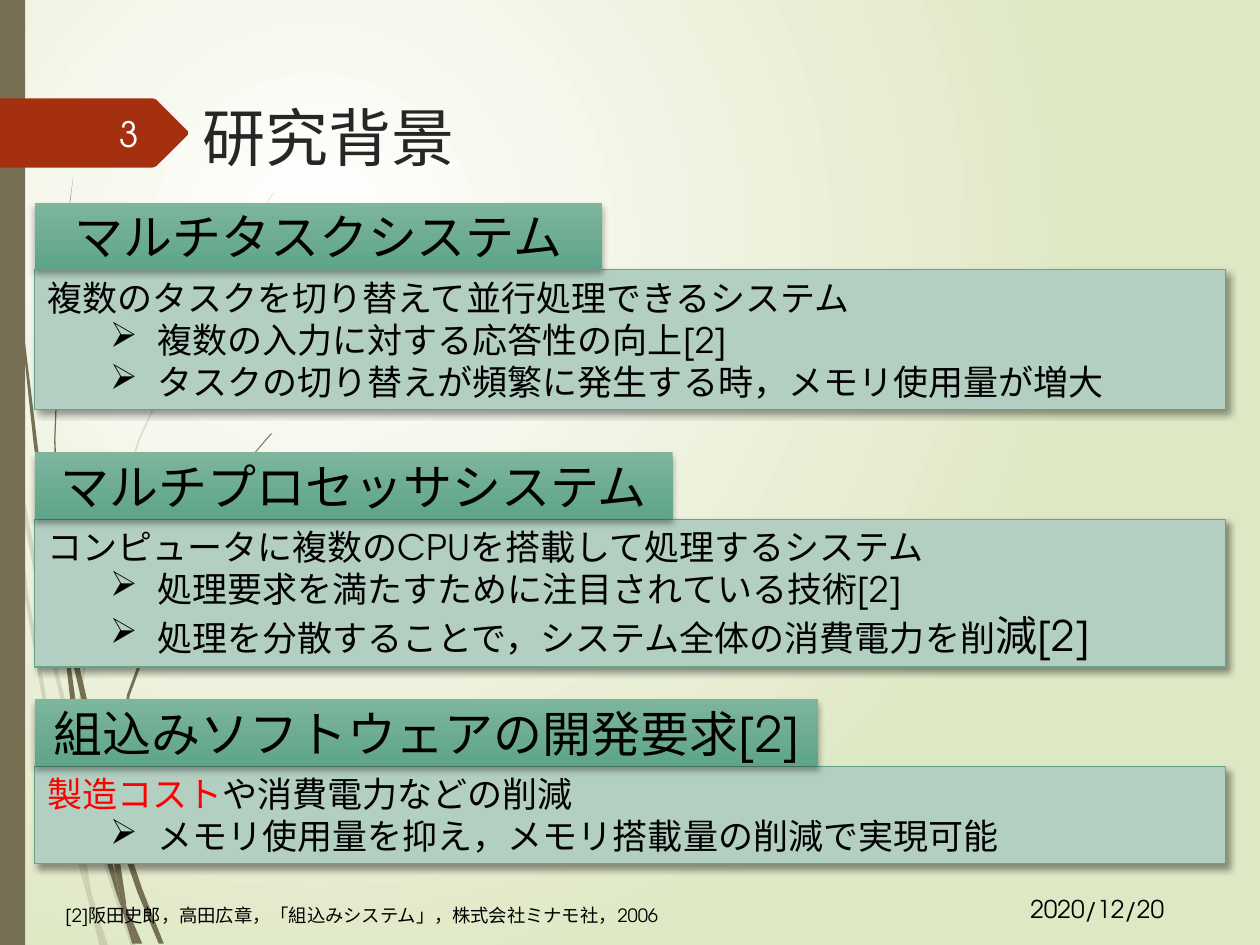
from lxml import etree
from pptx import Presentation
from pptx.dml.color import RGBColor
from pptx.enum.shapes import MSO_SHAPE
from pptx.enum.text import MSO_ANCHOR, PP_ALIGN
from pptx.oxml.ns import qn
from pptx.util import Cm, Pt

FONT = "TeX Gyre Adventor"
COLORS = {
    "black": "000000", "title": "262626", "number": "FEFFFF", "red": "FF0000",
    "olive": "766F54", "tag": "A53010", "panel": "B3CFC2", "edge": "65A48B",
    "head_top": "7DB59D", "head_bottom": "5EA588",
    "glow": "FFFFFF", "field": "DFE8C4",
}
RGB = {name: RGBColor.from_string(value) for name, value in COLORS.items()}
COMMA = "\uff0c"  # full-width comma
SLIDE_WIDTH, SLIDE_HEIGHT = 25.4, 19.05


def write(frame, lines, size=20, color="black", align=PP_ALIGN.LEFT,
          anchor=MSO_ANCHOR.TOP):
    """A line is a list of runs; a run may set its own size and color.

    The first line is plain, the lines below it are indented arrow points.
    """
    frame.word_wrap = True
    frame.vertical_anchor = anchor
    for index, runs in enumerate(lines):
        paragraph = frame.paragraphs[0] if index == 0 else frame.add_paragraph()
        paragraph.alignment = align
        if index > 0:
            paragraph.level = 1
            props = paragraph._p.get_or_add_pPr()
            props.set("marL", str(Cm(2.22)))
            props.set("indent", str(-Cm(0.95)))
            etree.SubElement(props, qn("a:buFont"), typeface="Wingdings",
                             pitchFamily="2", charset="2")
            etree.SubElement(props, qn("a:buChar"), char="\u00d8")  # Wingdings arrow
        for part in runs:
            run = paragraph.add_run()
            run.text = part["text"]
            run.font.name = FONT
            run.font.size = Pt(part.get("size", size))
            run.font.color.rgb = RGB[part.get("color", color)]


def paint(shape, fill, edge=None, opacity=100, shadow=None):
    """Fill with one color name, or with a (top, bottom) pair as a gradient."""
    if isinstance(fill, tuple):
        shape.fill.gradient()
        shape.fill.gradient_angle = 270
        for stop, name in zip(shape.fill.gradient_stops, fill):
            stop.color.rgb = RGB[name]
    else:
        shape.fill.solid()
        shape.fill.fore_color.rgb = RGB[fill]
    if opacity < 100:
        tone = shape._element.spPr.find(".//" + qn("a:srgbClr"))
        etree.SubElement(tone, qn("a:alpha"), val=str(opacity * 1000))
    if edge:
        shape.line.color.rgb = RGB[edge]
        shape.line.width = Pt(0.75)
    else:
        shape.line.fill.background()
    shape.shadow.inherit = False
    if shadow:
        effects = shape._element.spPr.find(qn("a:effectLst"))
        outer = etree.SubElement(
            effects, qn("a:outerShdw"), blurRad=str(Pt(shadow["blur"])),
            dist=str(Pt(shadow["distance"])), dir=str(shadow["angle"] * 60000),
            algn="tl", rotWithShape="0")
        tone = etree.SubElement(outer, qn("a:srgbClr"), val=COLORS["black"])
        etree.SubElement(tone, qn("a:alpha"), val=str(shadow["opacity"] * 1000))


prs = Presentation()
prs.slide_width, prs.slide_height = Cm(SLIDE_WIDTH), Cm(SLIDE_HEIGHT)
slide = prs.slides.add_slide(prs.slide_layouts[6])
shapes = slide.shapes

# Background: a round glow from the upper left
backdrop = slide.background.fill
backdrop.gradient()
for stop, name in zip(backdrop.gradient_stops, ("glow", "field")):
    stop.color.rgb = RGB[name]
gradient = slide._element.find(".//" + qn("a:gradFill"))
radial = etree.Element(qn("a:path"))
radial.set("path", "circle")
etree.SubElement(radial, qn("a:fillToRect"), l="50000", t="50000", r="100000", b="100000")
gradient.replace(gradient.find(qn("a:lin")), radial)

# Outlines as "x,y" corners in hundredths of an inch
OUTLINE_UNIT = Cm(0.0254)
PALE_BLADES = [
    "8,350 6,322 0,282 0,299 7,344",
    "40,522 59,599 59,586 43,520 10,345 12,376",
    "64,607 61,596 61,610 85,694 104,751 108,751 88,692",
    "83,751 86,751 73,711",
    "64,683 48,619 22,469 12,376 8,350 19,470 45,621 64,693 70,714 69,707",
    "58,599 60,646 64,683 67,692 73,711 72,706 63,646 61,610 61,608",
    "61,584 76,462 111,349 159,245 187,198 201,175 217,154 217,153 201,175 186,197 "
    "158,244 110,348 75,461 59,584 59,586 61,596",
    "70,714 79,751 82,751",
    "61,608 61,610 61,596 59,586 58,599",
    "67,692 65,683 69,707 70,714 82,751 83,751 73,711",
]
DARK_BLADES = [
    "5,110 14,233 27,355 46,477 47,481 45,457 45,453 30,355 15,232 6,109 4,48 3,0 2,0 3,48",
    "73,592 88,645 88,633 88,631 77,590 50,472 53,505",
    "94,649 91,641 91,656 109,708 126,749 130,749 113,706",
    "91,691 81,657 60,556 53,505 47,477 56,557 77,659 92,708 97,722 96,717",
    "50,472 48,453 44,349 48,245 52,193 58,141 51,193 47,245 43,349 45,449 49,472",
    "110,749 113,749 100,719",
    "91,633 103,552 131,476 169,406 191,374 203,359 216,344 215,344 203,358 191,373 "
    "168,405 129,474 101,551 88,631 91,641",
    "97,722 105,749 108,749",
    "88,645 91,691 96,706 100,719 100,716 91,656 90,651",
    "96,706 91,691 96,717 97,722 108,749 110,749 100,719",
]
STEM = ["0,0 20,0 20,750 0,750"]
PAGE_TAG = ["149,107 124,132 121,133 0,133 0,78 121,78 124,79 149,104"]

# Grass, side stem and page tag, from back to front
for outlines, color, opacity in (
        (PALE_BLADES, "olive", 20), (DARK_BLADES, "olive", 100),
        (STEM, "olive", 100), (PAGE_TAG, "tag", 100)):
    if outlines is STEM:
        stem = shapes.add_shape(MSO_SHAPE.RECTANGLE, 0, 0, Cm(0.51), Cm(SLIDE_HEIGHT))
        paint(stem, color)
        continue
    for outline in outlines:
        start, *corners = [tuple(map(int, pair.split(","))) for pair in outline.split()]
        builder = shapes.build_freeform(*start, scale=OUTLINE_UNIT)
        builder.add_line_segments(corners, close=True)
        paint(builder.convert_to_shape(), color, opacity=opacity)

# Sections: a heading bar standing on a panel
LEFT, PANEL_WIDTH, HEAD_HEIGHT = 0.7, 24, 1.35
TEXT_SIZE, PANEL_PADDING = 20, 0.27
LINE_PER_POINT = 1.2 * 2.54 / 72  # cm of line height for each point of text
HEAD_SHADOW = {"opacity": 32, "blur": 3.5, "distance": 2.2, "angle": 90}
PANEL_SHADOW = {"opacity": 40, "blur": 4, "distance": 3, "angle": 45}
SECTIONS = [
    {"top": 4.09, "head_width": 11.44, "heading": "マルチタスクシステム", "lines": [
        [{"text": "複数のタスクを切り替えて並行処理できるシステム"}],
        [{"text": "複数の入力に対する応答性の向上[2]"}],
        [{"text": f"タスクの切り替えが頻繁に発生する時{COMMA}メモリ使用量が増大"}]]},
    {"top": 9.12, "head_width": 12.86, "heading": "マルチプロセッサシステム", "lines": [
        [{"text": "コンピュータに複数のCPUを搭載して処理するシステム"}],
        [{"text": "処理要求を満たすために注目されている技術[2]"}],
        [{"text": f"処理を分散することで{COMMA}システム全体の消費電力を削"},
         {"text": "減[2]", "size": 24}]]},
    {"top": 14.1, "head_width": 15.8, "heading": "組込みソフトウェアの開発要求[2]", "lines": [
        [{"text": "製造コスト", "color": "red"}, {"text": "や消費電力などの削減"}],
        [{"text": f"メモリ使用量を抑え{COMMA}メモリ搭載量の削減で実現可能"}]]},
]
for section in SECTIONS:
    line_sizes = [max(run.get("size", TEXT_SIZE) for run in line) for line in section["lines"]]
    panel_height = PANEL_PADDING + LINE_PER_POINT * sum(line_sizes)
    panel = shapes.add_shape(MSO_SHAPE.RECTANGLE, Cm(LEFT), Cm(section["top"] + HEAD_HEIGHT),
                             Cm(PANEL_WIDTH), Cm(panel_height))
    paint(panel, "panel", edge="edge", shadow=PANEL_SHADOW)
    write(panel.text_frame, section["lines"], size=TEXT_SIZE)

    head = shapes.add_shape(MSO_SHAPE.RECTANGLE, Cm(LEFT), Cm(section["top"]),
                            Cm(section["head_width"]), Cm(HEAD_HEIGHT))
    paint(head, ("head_top", "head_bottom"), shadow=HEAD_SHADOW)
    write(head.text_frame, [[{"text": section["heading"]}]], size=28,
          align=PP_ALIGN.CENTER, anchor=MSO_ANCHOR.MIDDLE)

# Title, reference, date and page number: text, (left, top, width, height), format
REFERENCE = COMMA.join(["[2]阪田史郎", "高田広章", "「組込みシステム」", "株式会社ミナモ社", "2006"])
LABELS = [
    ("研究背景", (3.84, 0, 21.56, 3.63),
     {"size": 36, "color": "title", "anchor": MSO_ANCHOR.BOTTOM}),
    (REFERENCE, (1.07, 18.11, 17.53, 0.71), {"size": 10.5}),
    ("2020/12/20", (20.52, 17.86, 3.84, 0.91), {"size": 14, "anchor": MSO_ANCHOR.MIDDLE}),
    ("3", (1.42, 2.18, 1.63, 1.02),
     {"color": "number", "align": PP_ALIGN.RIGHT, "anchor": MSO_ANCHOR.MIDDLE}),
]
for text, box, text_format in LABELS:
    label = shapes.add_textbox(*map(Cm, box))
    write(label.text_frame, [[{"text": text}]], **text_format)

prs.save("out.pptx")
